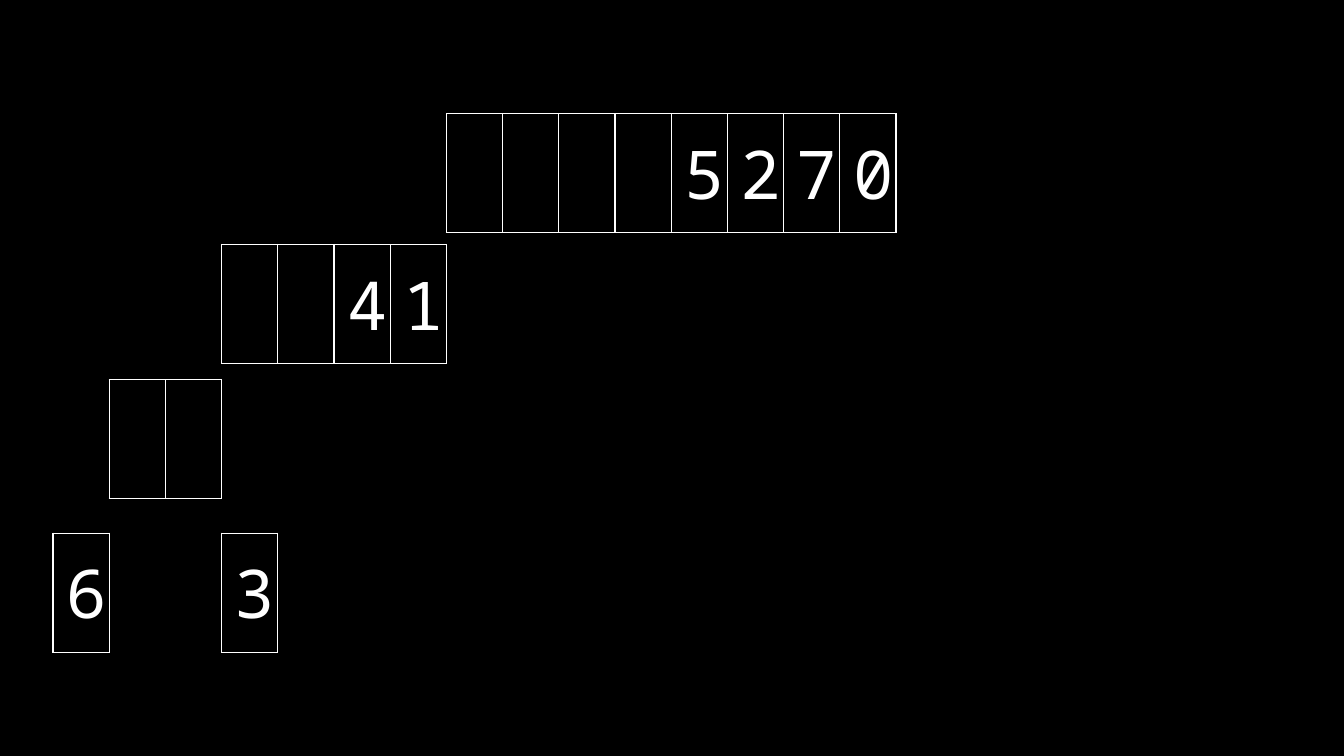
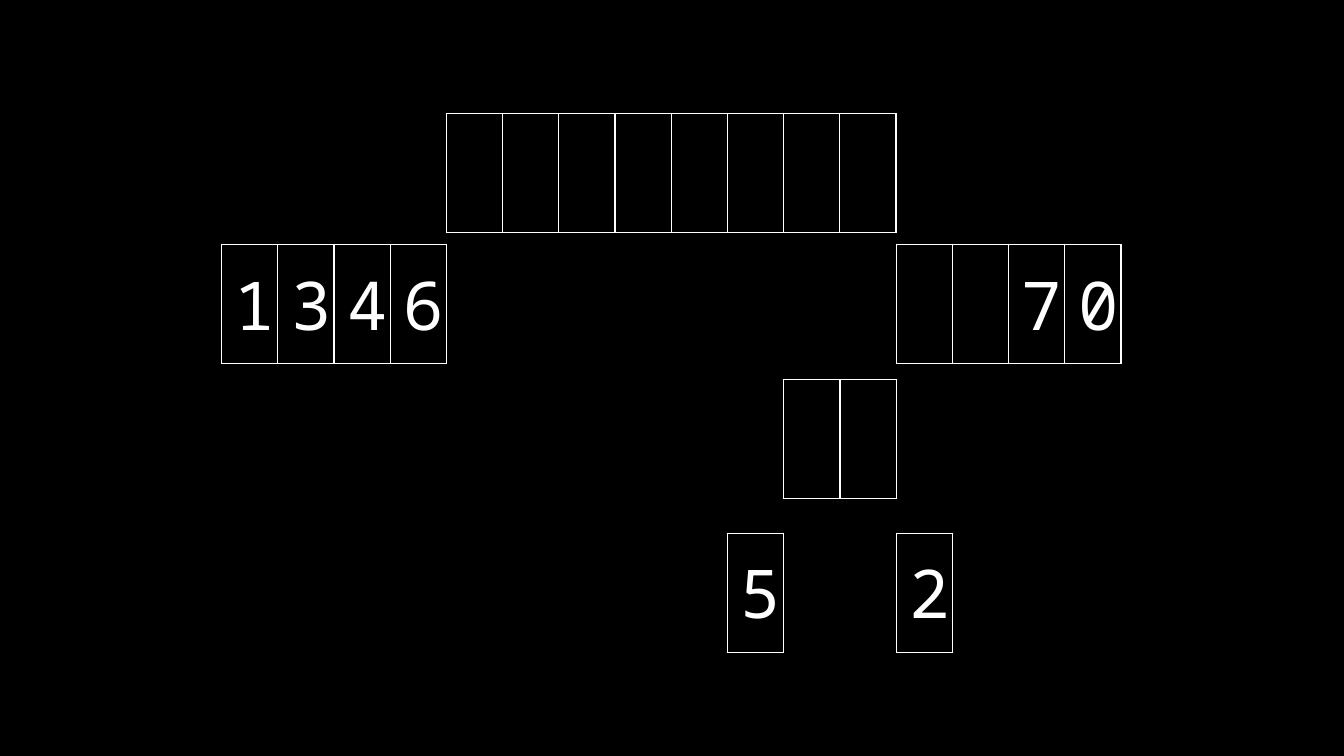
from dataclasses import dataclass

from lxml import etree
from pptx import Presentation
from pptx.dml.color import RGBColor
from pptx.enum.text import MSO_ANCHOR, PP_ALIGN
from pptx.oxml.ns import qn
from pptx.slide import Slide
from pptx.table import _Cell
from pptx.util import Cm, Length, Pt

CENTER = PP_ALIGN.CENTER
MIDDLE = MSO_ANCHOR.MIDDLE
BLANK_LAYOUT = 6
BORDER_TAGS = ("a:lnL", "a:lnR", "a:lnT", "a:lnB")


@dataclass(frozen=True)
class Theme:
    background: RGBColor = RGBColor(0x00, 0x00, 0x00)
    ink: RGBColor = RGBColor(0xFF, 0xFF, 0xFF)
    font: str = "Noto Sans Mono"
    digit_size: Length = Pt(36)
    border_width: Length = Pt(0.75)


@dataclass(frozen=True)
class Strip:
    """A one-row array; a space in digits stands for an empty cell."""
    level: int
    column: int
    digits: str


THEME = Theme()
GRID_LEFT = Cm(1)
COLUMN_WIDTH = Cm(8.5 / 8)
ROW_HEIGHT = Cm(2.25)
CELL_MARGIN = Cm(0.25)
LEVEL_TOPS = (Cm(2.15), Cm(4.62), Cm(7.18), Cm(10.08))

PAGES = (
    (
        Strip(0, 7, "    5270"),
        Strip(1, 3, "  41"),
        Strip(2, 1, "  "),
        Strip(3, 0, "6"),
        Strip(3, 3, "3"),
    ),
    (
        Strip(0, 7, "        "),
        Strip(1, 3, "1346"),
        Strip(1, 15, "  70"),
        Strip(2, 13, "  "),
        Strip(3, 12, "5"),
        Strip(3, 15, "2"),
    ),
)


def add_borders(cell: _Cell) -> None:
    properties = cell._tc.get_or_add_tcPr()
    for tag in BORDER_TAGS:
        line = etree.SubElement(properties, qn(tag), w=str(THEME.border_width))
        fill = etree.SubElement(line, qn("a:solidFill"))
        etree.SubElement(fill, qn("a:srgbClr"), val=str(THEME.ink))


def write_digit(cell: _Cell, digit: str) -> None:
    para = cell.text_frame.paragraphs[0]
    para.alignment = CENTER
    span = para.add_run()
    span.text = digit
    span.font.name = THEME.font
    span.font.size = THEME.digit_size
    span.font.color.rgb = THEME.ink


def style_cell(cell: _Cell) -> None:
    add_borders(cell)
    cell.fill.background()
    cell.vertical_anchor = MIDDLE
    cell.margin_left = cell.margin_right = CELL_MARGIN
    cell.margin_top = cell.margin_bottom = CELL_MARGIN


def add_strip(page: Slide, strip: Strip) -> None:
    count = len(strip.digits)
    table = page.shapes.add_table(
        1, count,
        GRID_LEFT + strip.column * COLUMN_WIDTH, LEVEL_TOPS[strip.level],
        count * COLUMN_WIDTH, ROW_HEIGHT,
    ).table
    table.first_row = False
    table.horz_banding = False
    for index, digit in enumerate(strip.digits):
        cell = table.cell(0, index)
        style_cell(cell)
        if digit != " ":
            write_digit(cell, digit)


def main() -> None:
    deck = Presentation()
    deck.slide_width = Cm(25.4)
    deck.slide_height = Cm(14.29)
    backdrop = deck.slide_master.background.fill
    backdrop.solid()
    backdrop.fore_color.rgb = THEME.background
    for strips in PAGES:
        page = deck.slides.add_slide(deck.slide_layouts[BLANK_LAYOUT])
        for strip in strips:
            add_strip(page, strip)
    deck.save("out.pptx")


if __name__ == "__main__":
    main()
